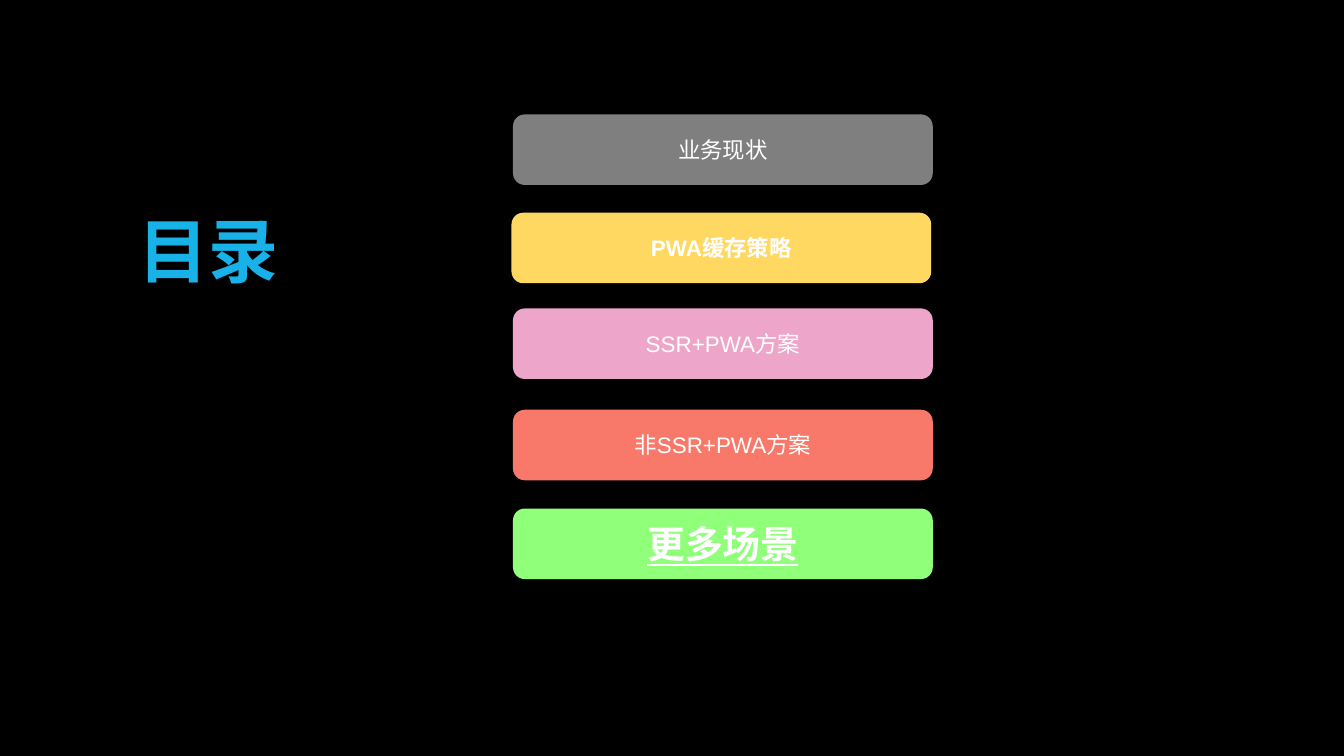
from dataclasses import dataclass

import lxml.etree
import pptx
import pptx.dml.color
import pptx.enum.shapes
import pptx.enum.text
import pptx.oxml.ns
import pptx.util

Inches = pptx.util.Inches
RGBColor = pptx.dml.color.RGBColor

BLACK = RGBColor(0x00, 0x00, 0x00)
WHITE = RGBColor(0xFF, 0xFF, 0xFF)
BLUE = RGBColor(0x18, 0xB2, 0xE8)
GRAY = RGBColor(0x7F, 0x7F, 0x7F)
YELLOW = RGBColor(0xFF, 0xD8, 0x62)
PINK = RGBColor(0xED, 0xA6, 0xCA)
CORAL = RGBColor(0xF8, 0x78, 0x6A)
GREEN = RGBColor(0x90, 0xFF, 0x7A)

CJK_FONT = "Noto Sans CJK SC"
BAR_WIDTH, BAR_HEIGHT = 8.33, 1.4
BAR_LEFT = 10.18


@dataclass
class AgendaItem:
    text: str
    top: float
    fill: RGBColor
    left: float = BAR_LEFT
    size: float = 32
    bold: bool = False
    underline: bool = False


AGENDA = [
    AgendaItem("业务现状", 2.27, GRAY),
    AgendaItem("PWA缓存策略", 4.22, YELLOW, left=10.15, bold=True),
    AgendaItem("SSR+PWA方案", 6.12, PINK),
    AgendaItem("非SSR+PWA方案", 8.13, CORAL),
    AgendaItem("更多场景", 10.09, GREEN, size=54, bold=True, underline=True),
]


def write_text(shape, text: str, *, size: float, color: RGBColor = WHITE,
               font_name: str = "Arial", bold: bool = False,
               underline: bool = False, wrap: bool = True) -> None:
    """Fill a shape with one centred, formatted line of text."""
    frame = shape.text_frame
    frame.auto_size = pptx.enum.text.MSO_AUTO_SIZE.NONE
    frame.word_wrap = wrap
    frame.vertical_anchor = pptx.enum.text.MSO_ANCHOR.MIDDLE
    frame.margin_left = frame.margin_right = Inches(0.06)
    frame.margin_top = frame.margin_bottom = Inches(0.06)
    paragraph = frame.paragraphs[0]
    paragraph.alignment = pptx.enum.text.PP_ALIGN.CENTER
    run = paragraph.add_run()
    run.text = text
    font = run.font
    font.size = pptx.util.Pt(size)
    font.bold = bold
    font.underline = underline
    font.color.rgb = color
    font.name = font_name
    # The East Asian typeface follows the Latin one
    east_asian = lxml.etree.SubElement(
        run._r.get_or_add_rPr(), pptx.oxml.ns.qn("a:ea"))
    east_asian.set("typeface", CJK_FONT)


def add_agenda_bar(slide, item: AgendaItem) -> None:
    shape = slide.shapes.add_shape(
        pptx.enum.shapes.MSO_SHAPE.ROUNDED_RECTANGLE,
        Inches(item.left), Inches(item.top),
        Inches(BAR_WIDTH), Inches(BAR_HEIGHT))
    shape.shadow.inherit = False
    shape.fill.solid()
    shape.fill.fore_color.rgb = item.fill
    shape.line.fill.background()
    write_text(shape, item.text, size=item.size, bold=item.bold,
               underline=item.underline)


def main() -> None:
    presentation = pptx.Presentation()
    presentation.slide_width = Inches(26.67)
    presentation.slide_height = Inches(15)
    slide = presentation.slides.add_slide(presentation.slide_layouts[5])

    # Background
    slide.background.fill.solid()
    slide.background.fill.fore_color.rgb = BLACK

    # Title
    title = slide.shapes.title
    title.left, title.top = Inches(2.69), Inches(3.97)
    title.width, title.height = Inches(2.9), Inches(1.96)
    write_text(title, "目录", size=100, color=BLUE, font_name=CJK_FONT,
               bold=True, wrap=False)

    # Agenda bars
    for item in AGENDA:
        add_agenda_bar(slide, item)

    presentation.save("out.pptx")


if __name__ == "__main__":
    main()
